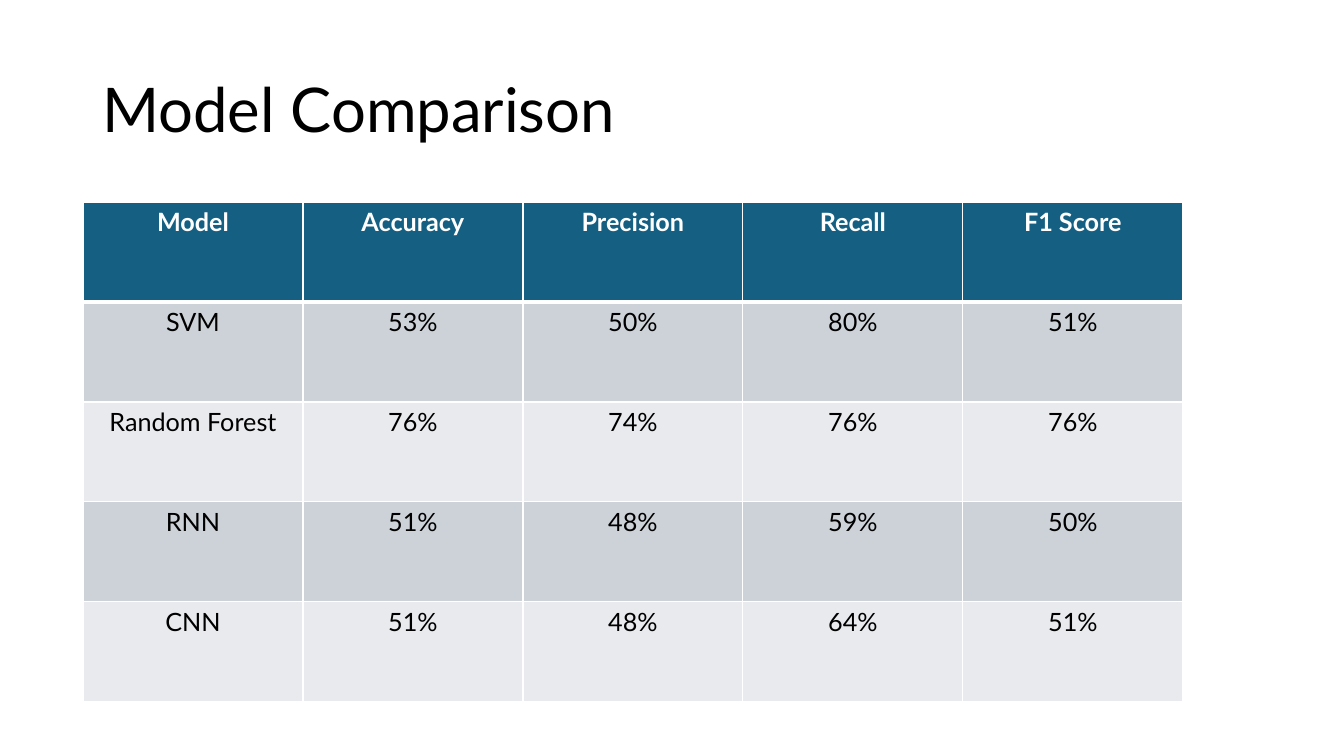
from lxml.etree import SubElement
from pptx import Presentation
from pptx.dml.color import RGBColor
from pptx.enum.text import MSO_ANCHOR, PP_ALIGN
from pptx.oxml.ns import qn
from pptx.util import Emu, Pt

COLORS = {
    "background": "FFFFFF",
    "title": "000000",
    "header": "156082",
    "header_text": "FFFFFF",
    "odd_row": "CCD2D8",
    "even_row": "E8EAED",
    "body_text": "000000",
    "border": "FFFFFF",
}
FONT = "Lato"
SCORES = [
    ["Model", "Accuracy", "Precision", "Recall", "F1 Score"],
    ["SVM", "53%", "50%", "80%", "51%"],
    ["Random Forest", "76%", "74%", "76%", "76%"],
    ["RNN", "51%", "48%", "59%", "50%"],
    ["CNN", "51%", "48%", "64%", "51%"],
]
COLUMN_WIDTH = 220
ROW_HEIGHT = 100


def px(length):
    return Emu(round(length * 914400 / 100.8))


def add_text(paragraph, text, size, color, bold=False):
    run = paragraph.add_run()
    run.text = text
    run.font.name = FONT
    run.font.size = Pt(size)
    run.font.bold = bold
    run.font.color.rgb = RGBColor.from_string(COLORS[color])


presentation = Presentation()
presentation.slide_width = px(1344)
presentation.slide_height = px(756)
slide = presentation.slides.add_slide(presentation.slide_layouts[5])
slide.background.fill.solid()
slide.background.fill.fore_color.rgb = RGBColor.from_string(COLORS["background"])

heading = slide.shapes.title
heading.left, heading.top, heading.width, heading.height = map(px, (92, 40, 1159, 146))
heading.text_frame.vertical_anchor = MSO_ANCHOR.MIDDLE
heading_line = heading.text_frame.paragraphs[0]
heading_line.alignment = PP_ALIGN.LEFT
heading_line.line_spacing = 0.9
add_text(heading_line, "Model Comparison", 44, "title")

comparison = slide.shapes.add_table(
    len(SCORES), len(SCORES[0]), px(83), px(202),
    px(COLUMN_WIDTH * len(SCORES[0])), px(ROW_HEIGHT * len(SCORES)),
).table
for column in comparison.columns:
    column.width = px(COLUMN_WIDTH)
for row in comparison.rows:
    row.height = px(ROW_HEIGHT)

for row_index, scores in enumerate(SCORES):
    is_header = row_index == 0
    if is_header:
        row_fill, text_color = "header", "header_text"
    else:
        row_fill = "odd_row" if row_index % 2 else "even_row"
        text_color = "body_text"
    border_widths = {
        "lnL": 1,
        "lnR": 1,
        "lnT": 3 if row_index == 1 else 1,
        "lnB": 3 if is_header else 1,
    }
    for column_index, score in enumerate(scores):
        cell = comparison.cell(row_index, column_index)
        cell_properties = cell._tc.get_or_add_tcPr()
        for side, width in border_widths.items():
            border = SubElement(cell_properties, qn(f"a:{side}"), w=str(Pt(width)))
            border_fill = SubElement(border, qn("a:solidFill"))
            SubElement(border_fill, qn("a:srgbClr"), val=COLORS["border"])
        cell.fill.solid()
        cell.fill.fore_color.rgb = RGBColor.from_string(COLORS[row_fill])
        cell_line = cell.text_frame.paragraphs[0]
        cell_line.alignment = PP_ALIGN.CENTER
        add_text(cell_line, score, 18, text_color, is_header)

presentation.save("out.pptx")
